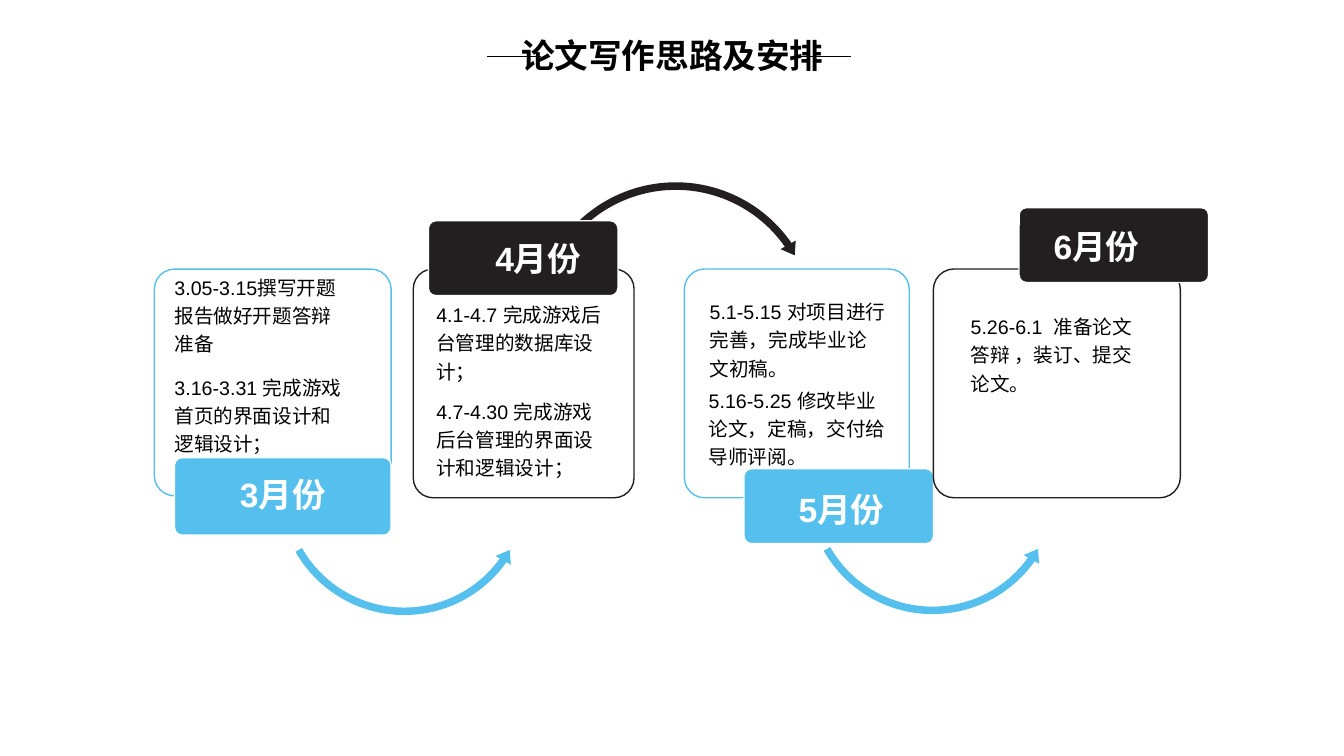
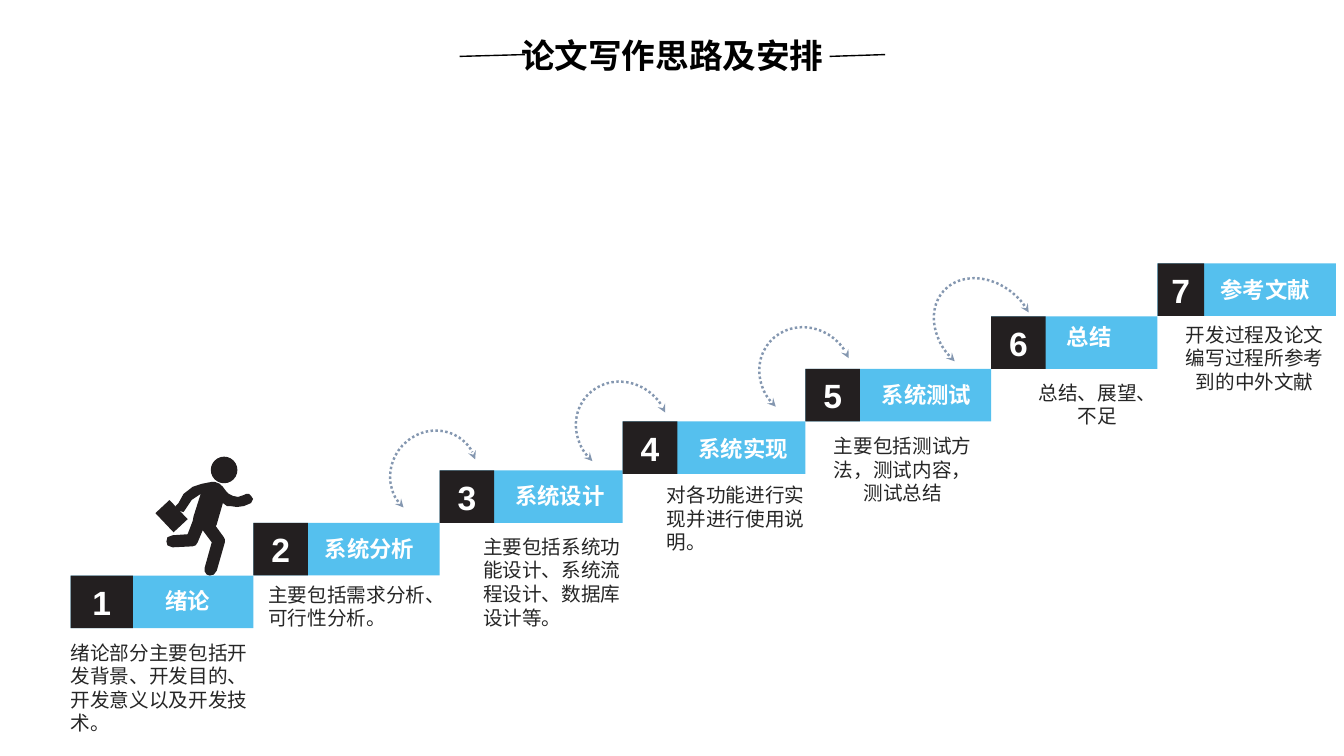
from lxml.etree import SubElement
from pptx import Presentation
from pptx.dml.color import RGBColor
from pptx.enum.dml import MSO_LINE
from pptx.enum.shapes import MSO_CONNECTOR, MSO_SHAPE
from pptx.enum.text import MSO_ANCHOR, PP_ALIGN
from pptx.oxml.ns import qn
from pptx.util import Pt

BLUE, DARK, WHITE, BLACK = "55C0EE", "231F20", "FFFFFF", "000000"
GREY, SLATE = "262626", "8497B0"
ARIAL, NOTO = "Arial", "Noto Sans CJK SC"
TITLE = "论文写作思路及安排"
RISE = 37.5


def color(code):
    return RGBColor.from_string(code)


def paint(shape, fill=None, line=None, width=1):
    shape.shadow.inherit = False
    if fill:
        shape.fill.solid()
        shape.fill.fore_color.rgb = color(fill)
    else:
        shape.fill.background()
    if line:
        shape.line.color.rgb = color(line)
        shape.line.width = Pt(width)
    else:
        shape.line.fill.background()
    return shape


def draw(slide, kind, box, fill=None, line=None, width=1, adj=()):
    shape = slide.shapes.add_shape(kind, *map(Pt, box))
    for i, value in enumerate(adj):
        shape.adjustments[i] = value
    return paint(shape, fill, line, width)


def write(shape, text, size=14, tint=BLACK, bold=False, font=ARIAL,
          align=PP_ALIGN.LEFT, wrap=True, inset=True, space=None, before=None):
    frame = shape.text_frame
    frame.word_wrap = wrap
    if not inset:
        frame.margin_left = frame.margin_right = 0
        frame.margin_top = frame.margin_bottom = 0
    para = frame.paragraphs[0]
    para.alignment = align
    if space:
        para.line_spacing = space
    if before:
        para.space_before = Pt(before)
    run = para.add_run()
    run.text = text
    run.font.size, run.font.bold, run.font.name = Pt(size), bold, font
    run.font.color.rgb = color(tint)


def label(slide, text, box, **style):
    write(slide.shapes.add_textbox(*map(Pt, box)), text, **style)


def title(slide, rules):
    """Heading with a short rule on each side."""
    label(slide, TITLE, (328.3, 21.6, 304, 36), size=24, bold=True,
          font=NOTO, align=PP_ALIGN.CENTER)
    for ends in rules:
        rule = slide.shapes.add_connector(MSO_CONNECTOR.STRAIGHT, *map(Pt, ends))
        rule.line.color.rgb = color(BLACK)
        rule.line.width = Pt(1)
        SubElement(rule._element.spPr, qn("a:effectLst"))


def card(slide, box, tint, month, badge, name, notes):
    """Month card; badge, name and notes are offsets from its corner."""
    x, y = box[:2]

    def place(dx, dy, w, h):
        return x + dx, y + dy, w, h

    panel = draw(slide, MSO_SHAPE.ROUNDED_RECTANGLE, box, WHITE, tint, adj=[0.09])
    SubElement(panel._element.spPr.find(qn("a:solidFill"))[0],
               qn("a:alpha"), val="90000")
    draw(slide, MSO_SHAPE.ROUNDED_RECTANGLE, place(*badge), tint, WHITE, adj=[0.1])
    label(slide, month, place(*name), size=24, tint=WHITE, bold=True,
          align=PP_ALIGN.CENTER)
    for dx, dy, w, text in notes:
        label(slide, text, place(dx, dy, w, 61), inset=False, space=1.2, before=2.8)


def months(slide):
    left, right = MSO_SHAPE.LEFT_CIRCULAR_ARROW, MSO_SHAPE.CIRCULAR_ARROW
    under = [0.029, 3.512, 21.267, 90.245, 0.034]
    over = [0.026, 3.115, 195.129, 125.755, 0.03]
    draw(slide, left, (195.8, 257, 186, 186), BLUE, adj=under)
    card(slide, (110.2, 192.2, 169.2, 162), BLUE, "3月份",
         (14.4, 134.7, 154.8, 55.4), (14.4, 142.6, 154.8, 36),
         [(14.4, 1.5, 126, "3.05-3.15撰写开题报告做好开题答辩准备"),
          (14.4, 72.8, 126, "3.16-3.31 完成游戏首页的界面设计和逻辑设计；")])
    draw(slide, right, (378.7, 126.7, 208, 208), DARK, adj=over)
    card(slide, (295.2, 192.2, 157.7, 163.4), DARK, "4月份",
         (10.8, -34.5, 135.4, 53.5), (42.5, -25.9, 93.6, 36),
         [(16.5, 20.9, 124, "4.1-4.7 完成游戏后台管理的数据库设计；"),
          (16.5, 90, 124, "4.7-4.30 完成游戏后台管理的界面设计和逻辑设计；")])
    card(slide, (488.9, 192.2, 160.6, 163.4), BLUE, "5月份",
         (42.5, 142.6, 135.4, 53.5), (64, 153.4, 96.5, 36),
         [(18, 18.8, 126, "5.1-5.15 对项目进行完善，完成毕业论文初稿。"),
          (17.3, 82.1, 133.2, "5.16-5.25 修改毕业论文，定稿，交付给导师评阅。")])
    draw(slide, left, (573.1, 256.3, 186, 186), BLUE, adj=under)
    card(slide, (666.7, 192.2, 176.4, 163.4), DARK, "6月份",
         (61.2, -43.9, 135.4, 53.5), (65.5, -34.5, 102.2, 36),
         [(26.6, 29.6, 123, "5.26-6.1  准备论文答辩 ，装订、提交论文。")])
    title(slide, [(347.8, 40.3, 386.6, 40.3), (569.5, 40.3, 607.7, 40.3)])


def outline(slide, x, y, points):
    """Filled polygon; points are hundredths of an inch from x, y."""
    pen = slide.shapes.build_freeform(*points[0], scale=Pt(0.72))
    pen.add_line_segments(points[1:])
    paint(pen.convert_to_shape(Pt(x), Pt(y)), DARK)


def runner(slide, x, y):
    draw(slide, MSO_SHAPE.OVAL, (x + 39.6, y - 18, 19, 19), DARK)
    outline(slide, x, y, [(14, 18), (0, 31), (18, 50), (32, 37)])
    outline(slide, x, y, [
        (95, 14), (93, 12), (90, 11.5), (88, 13), (82, 15), (77, 14), (73, 12),
        (70, 9), (67, 5), (64, 2), (59, 0), (56, 0), (46, 1.5), (37, 5),
        (28, 12), (23, 21), (20, 24), (21, 27), (24, 29), (28, 30), (32, 24),
        (36, 18), (42, 14), (45, 12), (38, 34), (37, 39), (32, 52), (17, 53),
        (12.5, 55), (11, 59), (12.5, 63), (17, 65), (37, 64), (40, 63),
        (42, 60), (47, 48), (56, 60), (49, 85), (49, 89), (51, 92), (54, 93),
        (58, 92), (61, 88), (69, 60), (69, 57), (68, 55), (60, 44), (61, 42),
        (67, 21), (71, 23.5), (74, 24), (81, 25), (88, 24), (95, 21), (97, 17)])


def hop(slide, x, y, w):
    """Dotted arc with an arrowhead at both ends."""
    arc = draw(slide, MSO_SHAPE.ARC, (x, y, w, 64), line=SLATE, width=1.75,
               adj=[162, 70.965])
    arc.rotation = 222.1
    arc.line.dash_style = MSO_LINE.ROUND_DOT
    for end in ("headEnd", "tailEnd"):
        SubElement(arc.line._get_or_add_ln(), qn("a:" + end), type="stealth")


def step(slide, box, number, block, name, shift, note, text, align):
    """Stair step; block is the number's width, shift and note are offsets."""
    x, y, w, h = box
    draw(slide, MSO_SHAPE.RECTANGLE, box, BLUE)
    tile = draw(slide, MSO_SHAPE.RECTANGLE, (x, y, block, h), DARK)
    tile.text_frame.vertical_anchor = MSO_ANCHOR.MIDDLE
    write(tile, str(number), size=24, tint=WHITE, bold=True, align=PP_ALIGN.CENTER)
    dx, dy = shift
    label(slide, name, (x + dx, y + dy, 16 * len(name) + 14.4, 26.6),
          size=16, tint=WHITE, bold=True, wrap=False)
    dx, dy, width = note
    label(slide, text, (x + dx, y + dy, width, 41), tint=GREY, align=align)


def stairs(slide):
    left, mid = PP_ALIGN.LEFT, PP_ALIGN.CENTER
    steps = [
        (50.4, 411.2, 44.6, "绪论", (60.5, 5), (-7, 43, 145.4),
         "绪论部分主要包括开发背景、开发目的、开发意义以及开发技术。", left),
        (181, 373.5, 39, "系统分析", (44, 5), (3.5, 39, 130.3),
         "主要包括需求分析、可行性分析。", left),
        (314, 336, 39, "系统设计", (47, 5), (24, 42.5, 124.5),
         "主要包括系统功能设计、系统流程设计、数据库设计等。", left),
        (444.8, 301, 39, "系统实现", (47, 6.5), (24.5, 40.5, 122.4),
         "对各功能进行实现并进行使用说明。", left),
        (575.3, 263.5, 39, "系统测试", (47.5, 5), (6.5, 43, 126),
         "主要包括测试方法，测试内容，测试总结", mid),
        (708, 226, 39, "总结", (47, 1.5), (22, 42.5, 108),
         "总结、展望、不足", mid),
        (826.8, 188.2, 33.3, "参考文献", (38, 5.5), (11.5, 38.6, 116),
         "开发过程及论文编写过程所参考到的中外文献", mid)]
    edges = [s[0] for s in steps[1:]] + [954.2]
    for i, (x, y, block, *rest) in enumerate(steps):
        step(slide, (x, y, edges[i] - x, RISE), i + 1, block, *rest)
    runner(slide, 111, 344.2)
    for arc in [(279.4, 306.7, 60.5), (410.4, 273.6, 68.4),
                (541.4, 234.7, 68.4), (663.8, 202.3, 79.2)]:
        hop(slide, *arc)
    title(slide, [(328.3, 40.3, 375, 39), (592.6, 40.3, 632.2, 39)])


def main():
    deck = Presentation()
    deck.slide_width, deck.slide_height = Pt(960), Pt(540)
    for fill in (months, stairs):
        fill(deck.slides.add_slide(deck.slide_layouts[6]))
    deck.save("out.pptx")


if __name__ == "__main__":
    main()
